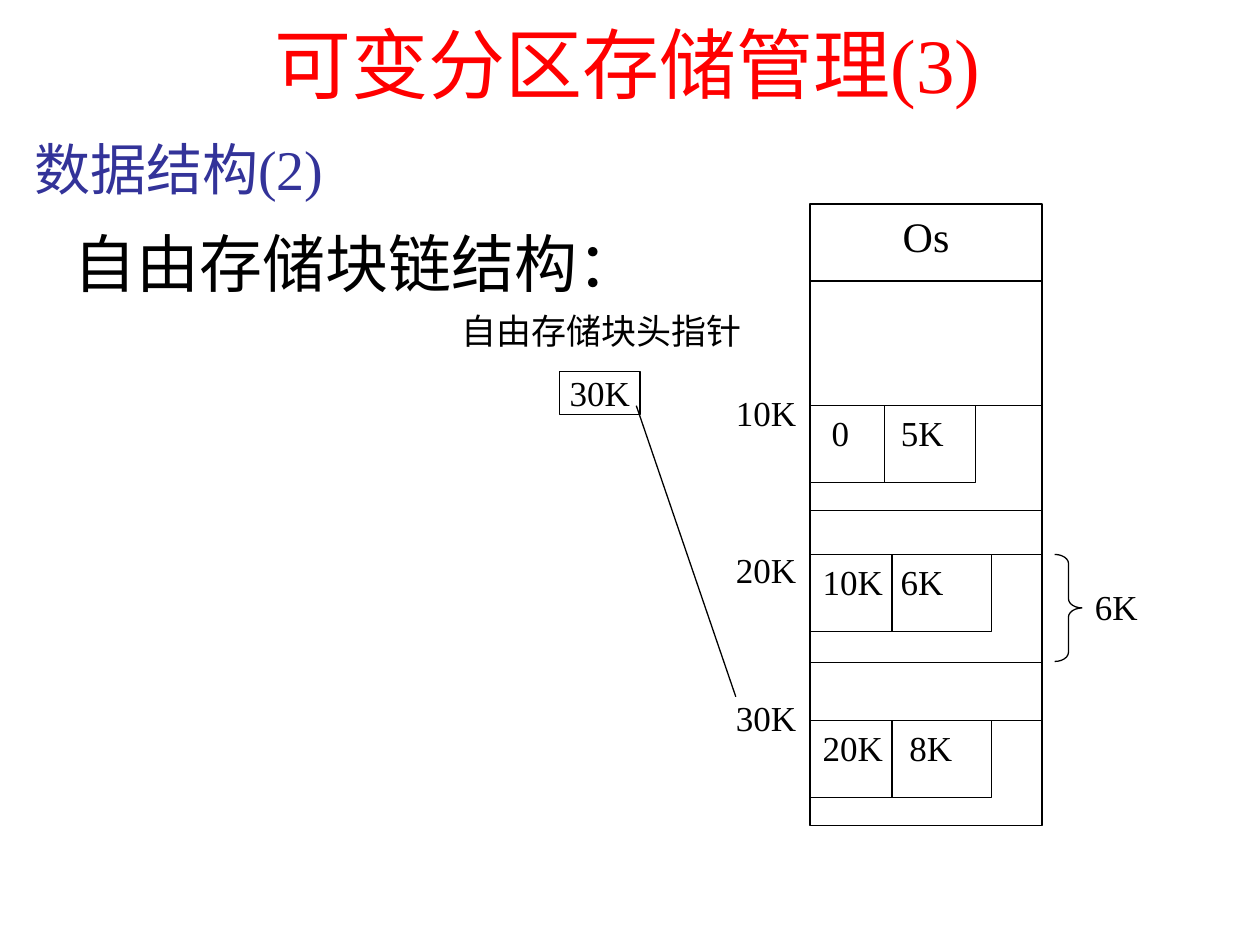
import pptx
import pptx.dml.color
import pptx.enum.lang
import pptx.enum.shapes
import pptx.enum.text
import pptx.oxml.ns
import pptx.util
from lxml import etree

Inches = pptx.util.Inches
Shapes = pptx.enum.shapes.MSO_SHAPE
Align = pptx.enum.text.PP_ALIGN
Anchor = pptx.enum.text.MSO_ANCHOR
RED = pptx.dml.color.RGBColor(0xFF, 0x00, 0x00)
INDIGO = pptx.dml.color.RGBColor(0x33, 0x33, 0x99)
BLACK = pptx.dml.color.RGBColor(0x00, 0x00, 0x00)
WHITE = pptx.dml.color.RGBColor(0xFF, 0xFF, 0xFF)
LATIN, CJK = "Times New Roman", "Noto Sans CJK JP"

TITLE = "可变分区存储管理(3)"
SUBTITLE = "数据结构(2)"
TOPIC = "自由存储块链结构："
MEMORY = (6.43, 1.62, 1.84, 4.93)
BOUNDARIES = [2.23, 3.22, 4.05, 4.4, 5.26, 5.72]
BLOCK_HEIGHT = 0.61
FREE_BLOCKS = [
    {"top": 3.22, "width": 1.31, "split": 0.59, "cells": ("0", "5K"), "text_at": (0.17, 0.72)},
    {"top": 4.4, "width": 1.44, "split": 0.65, "cells": ("10K", "6K"), "text_at": (0.1, 0.72)},
    {"top": 5.72, "width": 1.44, "split": 0.65, "cells": ("20K", "8K"), "text_at": (0.1, 0.79)},
]
LABELS = [
    ("10K", (5.84, 3.11, 0.5, 0.44)),
    ("20K", (5.84, 4.35, 0.5, 0.44)),
    ("30K", (5.84, 5.53, 0.5, 0.44)),
    ("自由存储块头指针", (3.66, 2.46, 2.42, 0.36)),
]
HEAD_POINTER = ("30K", (4.44, 2.95, 0.64, 0.34))
POINTER_LINE = ((5.84, 5.53), (5.05, 3.22))
BRACE = (8.37, 4.4, 0.22, 0.85)
BRACE_LABEL = ("6K", (8.59, 4.6, 0.65, 0.66))

deck = pptx.Presentation()
deck.slide_width, deck.slide_height = Inches(10), Inches(7.5)
slide = deck.slides.add_slide(deck.slide_layouts[5])


def apply(target, values):
    for name, value in values.items():
        setattr(target, name, value)


def write(holder, text, size, color=BLACK, align=Align.LEFT, anchor=Anchor.TOP,
          insets=(0, 0, 0, 0), latin=LATIN, wrap=True):
    frame = holder.text_frame
    sides = ("margin_left", "margin_top", "margin_right", "margin_bottom")
    apply(frame, dict(zip(sides, map(Inches, insets))))
    apply(frame, {"word_wrap": wrap, "vertical_anchor": anchor})
    paragraph = frame.paragraphs[0]
    paragraph.alignment = align
    run = paragraph.add_run()
    run.text = text
    apply(run.font, {"size": pptx.util.Pt(size), "name": latin,
                     "language_id": pptx.enum.lang.MSO_LANGUAGE_ID.SIMPLIFIED_CHINESE})
    run.font.color.rgb = color
    east_asian = etree.SubElement(run.font._element, pptx.oxml.ns.qn("a:ea"))
    east_asian.set("typeface", CJK)
    return paragraph


def outline(part):
    part.line.color.rgb = BLACK
    part.line.width = pptx.util.Pt(0.75)


def box(bounds, outlined=True, kind=Shapes.RECTANGLE):
    shape = slide.shapes.add_shape(kind, *map(Inches, bounds))
    shape.shadow.inherit = False
    shape.fill.solid()
    shape.fill.fore_color.rgb = WHITE
    if outlined:
        outline(shape)
    else:
        shape.line.fill.background()
    return shape


def line(start, end):
    connector = slide.shapes.add_connector(
        pptx.enum.shapes.MSO_CONNECTOR.STRAIGHT, *map(Inches, (*start, *end)))
    outline(connector)
    etree.SubElement(connector._element.spPr, pptx.oxml.ns.qn("a:effectLst"))


def place(holder, bounds):
    apply(holder, dict(zip(("left", "top", "width", "height"), map(Inches, bounds))))


def text_box(bounds):
    return slide.shapes.add_textbox(*map(Inches, bounds))


title = slide.shapes.title
place(title, (0.47, 0.13, 9.02, 0.73))
write(title, TITLE, 44, RED, Align.CENTER, Anchor.MIDDLE, (0.1, 0.05, 0.1, 0.05))
write(text_box((0.1, 1.78, 6, 0.6)), TOPIC, 36, insets=(0.48, 0, 0.1, 0.05), latin=CJK)

write(box(MEMORY), "Os", 24, align=Align.CENTER, insets=(0.1, 0.05, 0.1, 0.05))
memory_left, memory_right = MEMORY[0], MEMORY[0] + MEMORY[2]
for boundary in BOUNDARIES:
    line((memory_left, boundary), (memory_right, boundary))

for block in FREE_BLOCKS:
    top, divider = block["top"], memory_left + block["split"]
    first, second = block["text_at"]
    cell_pair = box((memory_left, top, block["width"], BLOCK_HEIGHT))
    paragraph = write(cell_pair, "\t".join(block["cells"]), 20, insets=(first, 0.05, 0, 0.05))
    tabs = etree.SubElement(paragraph._p.get_or_add_pPr(), pptx.oxml.ns.qn("a:tabLst"))
    stop = etree.SubElement(tabs, pptx.oxml.ns.qn("a:tab"))
    stop.set("pos", str(Inches(second - first)))
    stop.set("algn", "l")
    line((divider, top), (divider, top + BLOCK_HEIGHT))

brace = box(BRACE, kind=Shapes.RIGHT_BRACE)
brace.fill.background()
brace.adjustments[0] = 0.33
brace_text, brace_bounds = BRACE_LABEL
write(box(brace_bounds, outlined=False), brace_text, 20, insets=(0.1, 0.05, 0.1, 0.05))

for label, bounds in LABELS:
    write(box(bounds, outlined=False), label, 20, wrap=False)
pointer_text, pointer_bounds = HEAD_POINTER
write(box(pointer_bounds), pointer_text, 20, align=Align.CENTER)
line(*POINTER_LINE)

write(text_box((0.27, 1.07, 5.55, 0.53)), SUBTITLE, 32, INDIGO, anchor=Anchor.MIDDLE)

deck.save("out.pptx")
